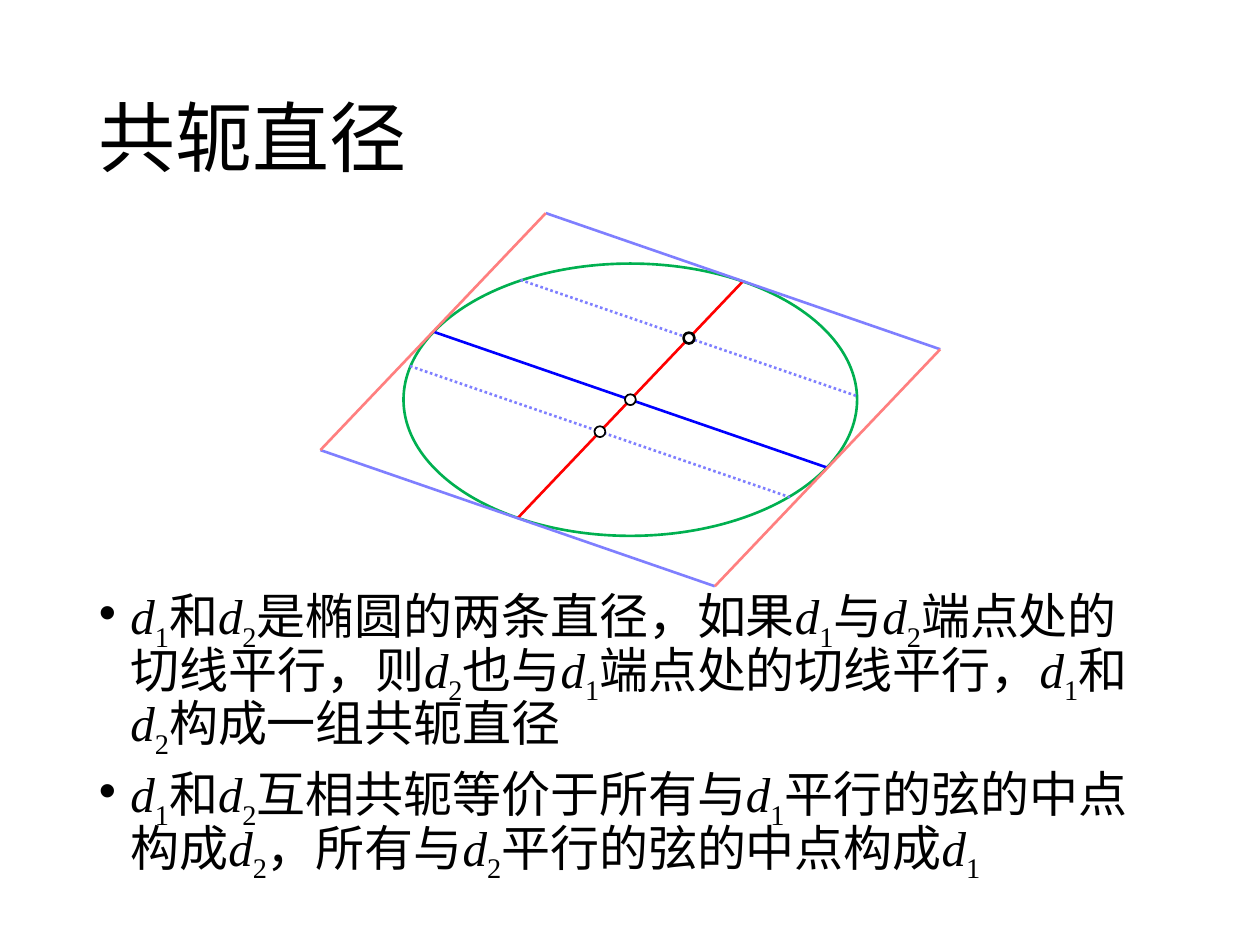
from math import sqrt

from pptx import Presentation
from pptx.dml.color import RGBColor
from pptx.enum.dml import MSO_LINE
from pptx.enum.shapes import MSO_CONNECTOR, MSO_SHAPE
from pptx.enum.text import MSO_ANCHOR
from pptx.oxml.ns import qn
from pptx.util import Pt
from lxml.etree import SubElement

BLACK = RGBColor(0x00, 0x00, 0x00)
WHITE = RGBColor(0xFF, 0xFF, 0xFF)
GREEN = RGBColor(0x00, 0xB0, 0x50)
RED = RGBColor(0xFF, 0x00, 0x00)
BLUE = RGBColor(0x00, 0x00, 0xFF)
PALE_RED = RGBColor(0xFF, 0x7F, 0x7F)
PALE_BLUE = RGBColor(0x7F, 0x7F, 0xFF)

CENTER = (360.2, 228.4)
RADII = (129.6, 77.8)
D1 = (112.7, 38.9)
D2 = (64.4, -67.7)

TITLE = "共轭直径"
POINTS = [
    "d1和d2是椭圆的两条直径，如果d1与d2端点处的切线平行，则d2也与d1端点处的切线平行，d1和d2构成一组共轭直径",
    "d1和d2互相共轭等价于所有与d1平行的弦的中点构成d2，所有与d2平行的弦的中点构成d1",
]


def at(u, v):
    return tuple(c + u * a + v * b for c, a, b in zip(CENTER, D1, D2))


class Deck:
    latin = "Times New Roman"
    cjk = "Noto Sans CJK SC"

    def __init__(self):
        self.prs = Presentation()
        self.prs.slide_width, self.prs.slide_height = Pt(720), Pt(540)
        self.s = self.prs.slides.add_slide(self.prs.slide_layouts[6])
        self.figure = None

    def start_figure(self):
        self.figure = self.s.shapes.add_group_shape()

    def style_run(self, r, size, latin):
        r.font.size = Pt(size)
        r.font.name = latin
        r.font.color.rgb = BLACK
        SubElement(r.font._element, qn("a:ea")).set("typeface", self.cjk)

    def text_box(self, x, y, w, h, anchor):
        tf = self.s.shapes.add_textbox(Pt(x), Pt(y), Pt(w), Pt(h)).text_frame
        tf.word_wrap = True
        tf.vertical_anchor = anchor
        return tf

    def title(self, text, x, y, w, h):
        tf = self.text_box(x, y, w, h, MSO_ANCHOR.MIDDLE)
        tf.text = text
        p = tf.paragraphs[0]
        p.line_spacing = 0.9
        self.style_run(p.runs[0], 44, self.cjk)

    def bullets(self, points, x, y, w, h):
        tf = self.text_box(x, y, w, h, MSO_ANCHOR.TOP)
        for i, point in enumerate(points):
            p = tf.add_paragraph() if i else tf.paragraphs[0]
            p.line_spacing = 0.8
            p.space_before = Pt(10)
            pPr = p._p.get_or_add_pPr()
            pPr.set("marL", str(Pt(18)))
            pPr.set("indent", str(-Pt(18)))
            SubElement(pPr, qn("a:buFont")).set("typeface", "Arial")
            SubElement(pPr, qn("a:buChar")).set("char", "•")
            self.math_text(p, point)

    def math_text(self, p, text):
        for name in ("d1", "d2"):
            text = text.replace(name, f"|d|{name[1]}|")
        for part in filter(None, text.split("|")):
            r = p.add_run()
            r.text = part
            self.style_run(r, 28, self.latin)
            r.font.italic = part == "d"
            if part.isdigit():
                r.font._element.set("baseline", "-25000")

    def line(self, start, end, color, dash=None):
        ends = [Pt(n) for n in (*start, *end)]
        c = self.figure.shapes.add_connector(MSO_CONNECTOR.STRAIGHT, *ends)
        c.line.color.rgb = color
        c.line.width = Pt(1.5)
        if dash:
            c.line.dash_style = dash
        SubElement(c._element.spPr, qn("a:effectLst"))

    def ellipse(self, center, rx, ry, color, width=1.5, fill=None):
        x, y = center
        sp = self.figure.shapes.add_shape(
            MSO_SHAPE.OVAL, Pt(x - rx), Pt(y - ry), Pt(2 * rx), Pt(2 * ry))
        sp.shadow.inherit = False
        if fill is None:
            sp.fill.background()
        else:
            sp.fill.solid()
            sp.fill.fore_color.rgb = fill
        sp.line.color.rgb = color
        sp.line.width = Pt(width)

    def save(self):
        self.prs.save("out.pptx")


def main():
    deck = Deck()
    deck.title(TITLE, 49.5, 28.8, 621, 104.4)
    deck.bullets(POINTS, 49.5, 334.8, 621, 152)

    deck.start_figure()
    deck.ellipse(CENTER, *RADII, GREEN)
    deck.line(at(0, 1), at(0, -1), RED)
    for v in (0.52, -0.27):
        half = sqrt(1 - v * v)
        deck.line(at(-half, v), at(half, v), PALE_BLUE, MSO_LINE.ROUND_DOT)
    deck.line(at(-1, 0), at(1, 0), BLUE)
    for side in (1, -1):
        deck.line(at(-1, side), at(1, side), PALE_BLUE)
    for v, width in ((0.52, 1.5), (-0.27, 1), (0, 1)):
        deck.ellipse(at(0, v), 3.1, 3.1, BLACK, width, WHITE)
    for side in (1, -1):
        deck.line(at(side, 1), at(side, -1), PALE_RED)
    deck.save()


if __name__ == "__main__":
    main()
